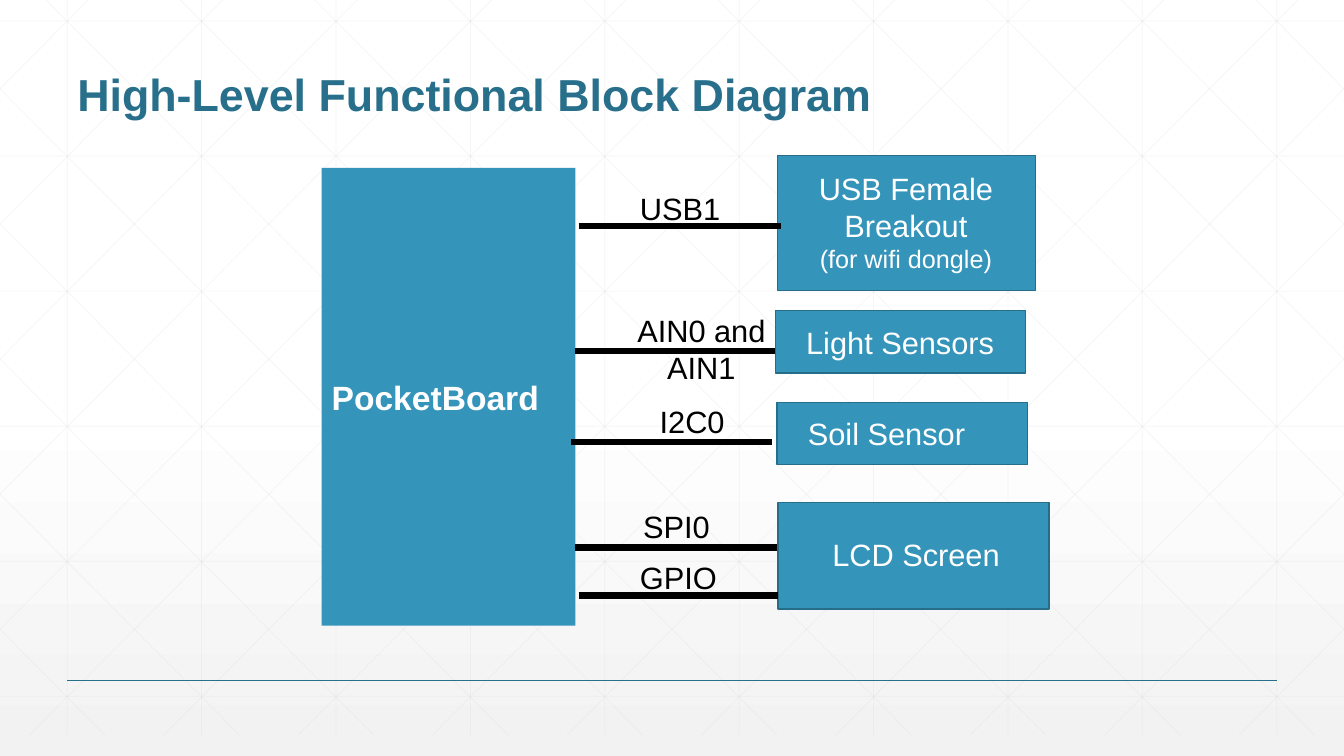
import dataclasses

import lxml.etree
import pptx
import pptx.dml.color
import pptx.enum.shapes
import pptx.enum.text
import pptx.oxml.ns
import pptx.util

ALIGN = pptx.enum.text.PP_ALIGN
ANCHOR = pptx.enum.text.MSO_ANCHOR
qn = pptx.oxml.ns.qn

# Slide grid: 160 columns by 90 rows
COLS, ROWS = 160, 90
WIDTH, HEIGHT = pptx.util.Inches(13.333), pptx.util.Inches(7.5)
BLUE, EDGE, TITLE = "3494BA", "266D8A", "276F8B"
WHITE, BLACK, GRID, FLOOR = "FFFFFF", "000000", "D9D9D9", "F2F2F2"


@dataclasses.dataclass
class Block:
    x: float
    y: float
    w: float
    h: float
    edge: str | None = EDGE


@dataclasses.dataclass
class Label:
    x: float
    y: float
    w: float
    h: float
    lines: list[tuple[str, int]]
    color: str = BLACK
    align: ALIGN = ALIGN.LEFT


@dataclasses.dataclass
class Link:
    x1: float
    x2: float
    y: float


def col(n: float) -> int:
    return round(WIDTH * n / COLS)


def row(n: float) -> int:
    return round(HEIGHT * n / ROWS)


def rgb(color: str) -> pptx.dml.color.RGBColor:
    return pptx.dml.color.RGBColor.from_string(color)


def write(tf, lines: list[tuple[str, int]], color: str, align: ALIGN, bold: bool = False) -> None:
    tf.word_wrap = True
    for i, (text, size) in enumerate(lines):
        p = tf.add_paragraph() if i else tf.paragraphs[0]
        p.alignment = align
        r = p.add_run()
        r.text = text
        font = {"name": "Arial", "size": pptx.util.Pt(size), "bold": bold}
        for key, value in font.items():
            setattr(r.font, key, value)
        r.font.color.rgb = rgb(color)


def draw_line(s, x1: float, y1: float, x2: float, y2: float,
              color: str, width: float, opacity: int = 100) -> None:
    c = s.shapes.add_connector(pptx.enum.shapes.MSO_CONNECTOR.STRAIGHT,
                               col(x1), row(y1), col(x2), row(y2))
    c.line.color.rgb = rgb(color)
    c.line.width = pptx.util.Pt(width)
    spPr = c._element.spPr
    if opacity < 100:
        fill = spPr.find(".//" + qn("a:srgbClr"))
        lxml.etree.SubElement(fill, qn("a:alpha")).set("val", str(opacity * 1000))
    lxml.etree.SubElement(spPr, qn("a:effectLst"))


def draw_block(s, b: Block):
    sp = s.shapes.add_shape(pptx.enum.shapes.MSO_SHAPE.RECTANGLE,
                            col(b.x), row(b.y), col(b.w), row(b.h))
    sp.shadow.inherit = False
    sp.fill.solid()
    sp.fill.fore_color.rgb = rgb(BLUE)
    if b.edge:
        sp.line.color.rgb = rgb(b.edge)
        sp.line.width = pptx.util.Pt(1)
    else:
        sp.line.fill.background()
    return sp


def draw_label(s, b: Label) -> None:
    sp = s.shapes.add_textbox(col(b.x), row(b.y), col(b.w), row(b.h))
    write(sp.text_frame, b.lines, b.color, b.align)


def draw_background(s) -> None:
    fill = s.background.fill
    fill.gradient()
    fill.gradient_angle = 270
    for stop, (position, color) in zip(fill.gradient_stops, [(0.53, WHITE), (1, FLOOR)]):
        stop.position = position
        stop.color.rgb = rgb(color)

    top, bottom, step, run = -2.5, 87.5, 16, 89.5
    slope = (bottom - top) / run
    lines = [(x, top, x, bottom) for x in range(8, COLS, step)]
    lines += [(0, 2.5 + 16.08 * i, COLS, 2.5 + 16.08 * i) for i in range(6)]
    # Diagonals are clipped at the slide's sides and mirrored
    for i in range(-5, 10):
        x = 3 + step * i
        x1, x2 = max(x, 0), min(x + run, COLS)
        y1, y2 = top + (x1 - x) * slope, top + (x2 - x) * slope
        lines += [(x1, y1, x2, y2), (COLS - x1, y1, COLS - x2, y2)]
    for line in lines:
        draw_line(s, *line, GRID, 0.5, 25)
    draw_line(s, 8, 81, 152, 81, TITLE, 1)


BOARD = Block(38.3, 20, 30.2, 54.5, None)
PARTS = [
    Block(92.6, 18.5, 30.7, 16.1),
    Block(92.3, 37, 29.8, 7.4),
    Block(92.5, 47.9, 29.8, 7.4),
    Block(92.6, 59.8, 32.3, 12.7),
]
LINKS = [
    Link(68.9, 93, 26.9),
    Link(68.4, 92.3, 41.8),
    Link(68, 91.9, 52.6),
    Link(68.4, 92.5, 65.2),
    Link(68.9, 92.6, 70.9),
]
LABELS = [
    Label(92.6, 19.6, 30.5, 13.7, [("USB Female Breakout", 22), ("(for wifi dongle)", 18)],
          WHITE, ALIGN.CENTER),
    Label(94.8, 37.9, 29.8, 10.1, [("Light Sensors", 22)], WHITE),
    Label(95, 48.8, 29.8, 5.6, [("Soil Sensor", 22)], WHITE),
    Label(97.9, 63.2, 23.6, 5.6, [("LCD Screen", 22)], WHITE),
    Label(75, 22, 13.4, 5.6, [("USB1", 22)]),
    Label(74.5, 36.5, 18, 10.1, [("AIN0 and AIN1", 22)], align=ALIGN.CENTER),
    Label(73.4, 47.4, 18, 5.6, [("I2C0", 22)], align=ALIGN.CENTER),
    Label(75.4, 59.9, 12.7, 5.6, [("SPI0", 22)]),
    Label(75, 65.9, 13.4, 5.6, [("GPIO", 22)]),
]

prs = pptx.Presentation()
prs.slide_width, prs.slide_height = WIDTH, HEIGHT
s = prs.slides.add_slide(prs.slide_layouts[5])
draw_background(s)

# Title, in front of the background lines
title = s.shapes.title
s.shapes._spTree.append(title._element)
place = {"left": col(8), "top": row(3), "width": col(144), "height": row(12)}
for key, value in place.items():
    setattr(title, key, value)
tf = title.text_frame
tf.auto_size = pptx.enum.text.MSO_AUTO_SIZE.NONE
tf.vertical_anchor = ANCHOR.BOTTOM
write(tf, [("High-Level Functional Block Diagram", 32)], TITLE, ALIGN.LEFT, True)
tf.paragraphs[0].line_spacing = 0.9

# Main board and its peripherals
board = draw_block(s, BOARD)
board.text_frame.vertical_anchor = ANCHOR.MIDDLE
write(board.text_frame, [("PocketBoard", 24)], WHITE, ALIGN.LEFT, True)
for part in PARTS:
    draw_block(s, part)

# Links and labels
for link in LINKS:
    draw_line(s, link.x1, link.y, link.x2, link.y, BLACK, 4.5)
for label in LABELS:
    draw_label(s, label)

prs.save("out.pptx")
